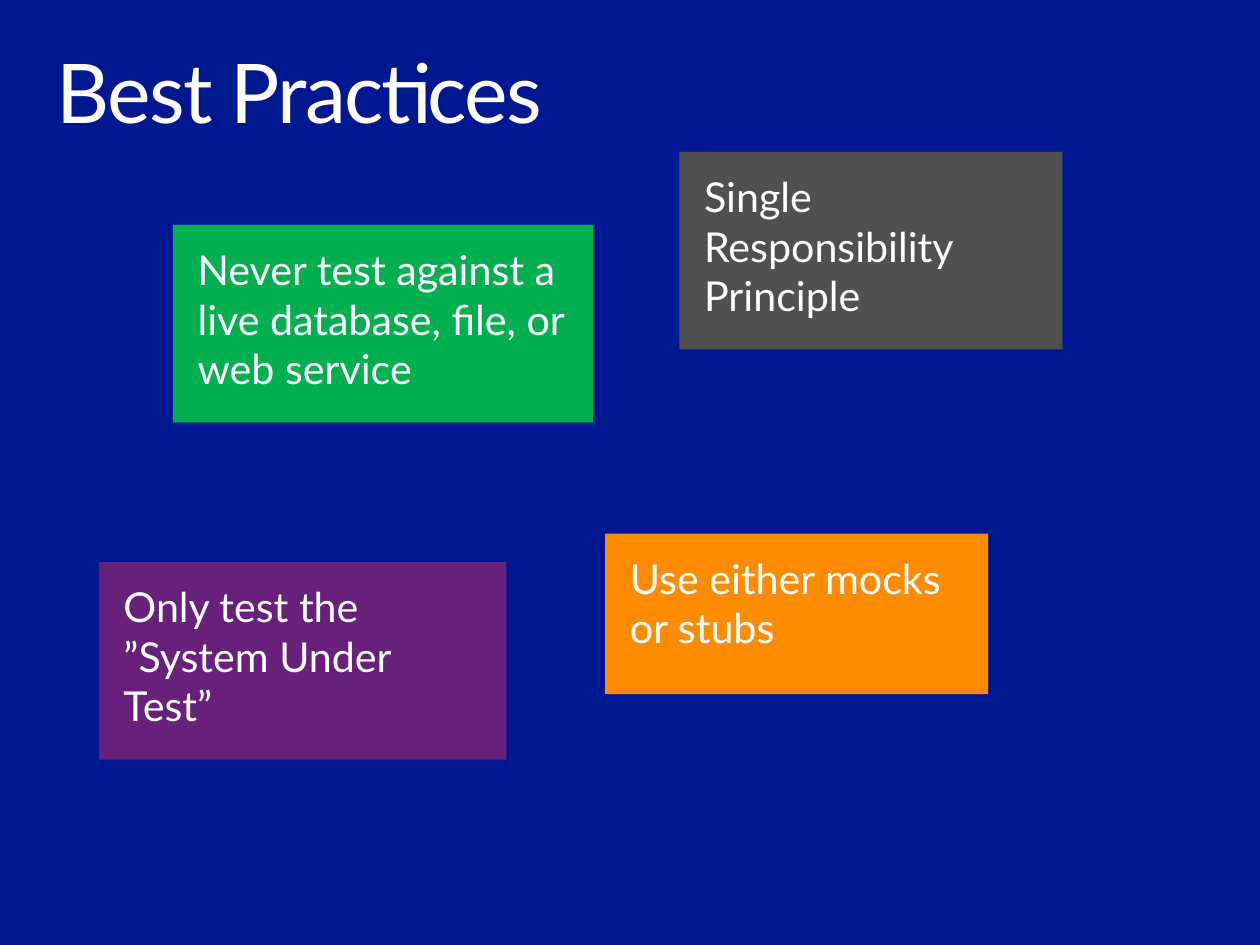
"""Build the Best Practices slide with its four coloured note boxes."""
import pptx
import pptx.dml.color
import pptx.enum.shapes
import pptx.enum.text
import pptx.util

RGBColor = pptx.dml.color.RGBColor
Inches = pptx.util.Inches

NAVY = RGBColor(0x00, 0x18, 0x8F)
ORANGE = RGBColor(0xFF, 0x8C, 0x00)
PURPLE = RGBColor(0x68, 0x21, 0x7A)
GRAY = RGBColor(0x50, 0x50, 0x50)
GREEN = RGBColor(0x00, 0xB0, 0x50)
WHITE = RGBColor(0xFF, 0xFF, 0xFF)


def write(tf, text, *, font, color, size, margins, line_spacing=1.0, tracking=0):
    tf.word_wrap = True
    tf.auto_size = pptx.enum.text.MSO_AUTO_SIZE.NONE
    tf.vertical_anchor = pptx.enum.text.MSO_ANCHOR.TOP
    side, top = margins
    tf.margin_left = tf.margin_right = Inches(side)
    tf.margin_top = tf.margin_bottom = Inches(top)
    p = tf.paragraphs[0]
    p.alignment = pptx.enum.text.PP_ALIGN.LEFT
    p.line_spacing = line_spacing
    r = p.add_run()
    r.text = text
    r.font.name = font
    r.font.size = pptx.util.Pt(size)
    r.font.color.rgb = color
    if tracking:
        r._r.get_or_add_rPr().set("spc", str(round(tracking * 100)))


class Deck:
    font = "Lato"
    color = WHITE

    def __init__(self, slide, background):
        self.s = slide
        fill = slide.background.fill
        fill.solid()
        fill.fore_color.rgb = background

    def title(self, text, left, top, width, height):
        sp = self.s.shapes.title
        sp.left, sp.top = Inches(left), Inches(top)
        sp.width, sp.height = Inches(width), Inches(height)
        write(sp.text_frame, text, font=self.font, color=self.color, size=48,
              margins=(0.16, 0.1), line_spacing=0.9, tracking=-1)

    def note(self, text, fill, left, top, width, height):
        sp = self.s.shapes.add_shape(
            pptx.enum.shapes.MSO_SHAPE.RECTANGLE,
            Inches(left), Inches(top), Inches(width), Inches(height))
        sp.shadow.inherit = False
        sp.fill.solid()
        sp.fill.fore_color.rgb = fill
        sp.line.fill.background()
        write(sp.text_frame, text, font=self.font, color=self.color, size=24,
              margins=(0.2, 0.16))


NOTES = [
    ("Use either mocks or stubs", ORANGE, 4.9, 4.32, 3.1, 1.3),
    ("Only test the \u201dSystem Under Test\u201d", PURPLE, 0.8, 4.55, 3.3, 1.6),
    ("Single Responsibility Principle", GRAY, 5.5, 1.23, 3.1, 1.6),
    ("Never test against a live database, file, or web service",
     GREEN, 1.4, 1.82, 3.4, 1.6),
]

prs = pptx.Presentation()
prs.slide_width, prs.slide_height = Inches(10.2), Inches(7.65)
deck = Deck(prs.slides.add_slide(prs.slide_layouts[5]), NAVY)
deck.title("Best Practices", 0.3, 0.32, 9.6, 1)
for note in NOTES:
    deck.note(*note)
prs.save("out.pptx")
